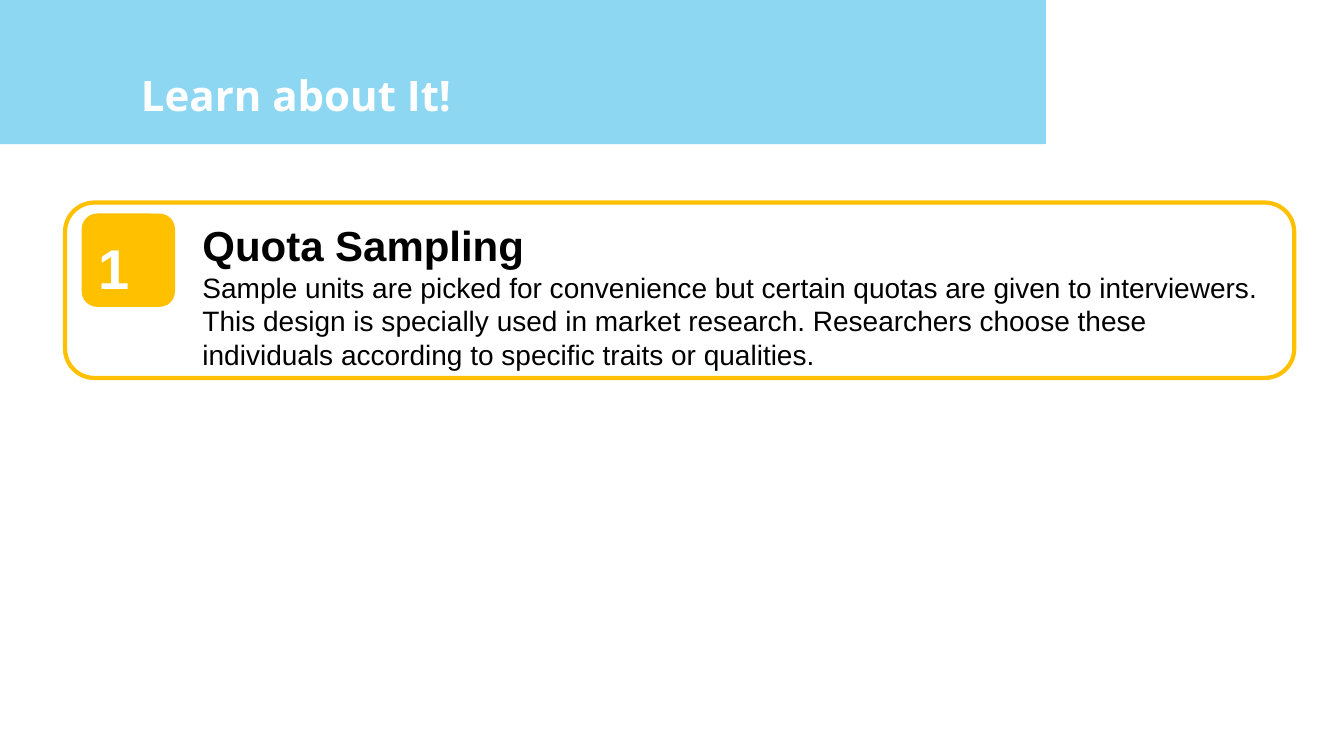
from dataclasses import dataclass

import pptx
import pptx.dml.color
import pptx.enum.shapes
import pptx.slide
import pptx.util

RECTANGLE = pptx.enum.shapes.MSO_SHAPE.RECTANGLE
ROUNDED = pptx.enum.shapes.MSO_SHAPE.ROUNDED_RECTANGLE
WHITE = "FFFFFF"
BLACK = "000000"
SKY = "8ED7F3"
AMBER = "FFC000"


@dataclass(frozen=True)
class Box:
    left: float
    top: float
    width: float
    height: float

    def lengths(self) -> list[pptx.util.Length]:
        return [pptx.util.Pt(value) for value in (self.left, self.top, self.width, self.height)]


@dataclass(frozen=True)
class Panel:
    box: Box
    kind: pptx.enum.shapes.MSO_SHAPE
    fill: str | None = None
    line: str | None = None
    line_width: float = 0


@dataclass(frozen=True)
class Line:
    text: str
    size: float
    color: str
    font: str = "Arial"
    bold: bool = True


@dataclass(frozen=True)
class Label:
    box: Box
    lines: tuple[Line, ...]


def rgb(value: str) -> pptx.dml.color.RGBColor:
    return pptx.dml.color.RGBColor.from_string(value)


def draw_panel(slide: pptx.slide.Slide, panel: Panel) -> None:
    shape = slide.shapes.add_shape(panel.kind, *panel.box.lengths())
    shape.shadow.inherit = False
    if panel.kind == ROUNDED:
        shape.adjustments[0] = 0.167
    if panel.fill:
        shape.fill.solid()
        shape.fill.fore_color.rgb = rgb(panel.fill)
    else:
        shape.fill.background()
    if panel.line:
        shape.line.color.rgb = rgb(panel.line)
        shape.line.width = pptx.util.Pt(panel.line_width)
    else:
        shape.line.fill.background()


def draw_label(slide: pptx.slide.Slide, label: Label) -> None:
    frame = slide.shapes.add_textbox(*label.box.lengths()).text_frame
    frame.word_wrap = True
    frame.margin_left = frame.margin_right = pptx.util.Pt(7.2)
    frame.margin_top = frame.margin_bottom = pptx.util.Pt(7.2)
    for index, line in enumerate(label.lines):
        paragraph = frame.add_paragraph() if index else frame.paragraphs[0]
        run = paragraph.add_run()
        run.text = line.text
        run.font.name = line.font
        run.font.size = pptx.util.Pt(line.size)
        run.font.bold = line.bold
        run.font.color.rgb = rgb(line.color)


PANELS = (
    Panel(Box(0, 0, 960, 103), RECTANGLE, fill=SKY),
    Panel(Box(748, 0, 212, 105), RECTANGLE, fill=WHITE, line=WHITE, line_width=2),
    Panel(Box(46.5, 144.7, 878, 125.3), ROUNDED, line=AMBER, line_width=3),
    Panel(Box(58.3, 152.5, 66.7, 66.7), ROUNDED, fill=AMBER),
)

LABELS = (
    Label(Box(93.6, 42.5, 408, 68.4), (Line("Learn about It!", 30, WHITE, "Open Sans"),)),
    Label(
        Box(137.5, 149.8, 779, 120),
        (
            Line("Quota Sampling", 30, BLACK),
            Line(
                "Sample units are picked for convenience but certain quotas are given to interviewers. "
                "This design is specially used in market research. Researchers choose these "
                "individuals according to specific traits or qualities.",
                20, BLACK, bold=False,
            ),
        ),
    ),
    Label(Box(63.4, 159.5, 57.6, 53.3), (Line("1", 40, WHITE),)),
)


def main() -> None:
    presentation = pptx.Presentation()
    presentation.slide_width = pptx.util.Pt(960)
    presentation.slide_height = pptx.util.Pt(540)
    slide = presentation.slides.add_slide(presentation.slide_layouts[6])
    for panel in PANELS:
        draw_panel(slide, panel)
    for label in LABELS:
        draw_label(slide, label)
    presentation.save("out.pptx")


if __name__ == "__main__":
    main()
